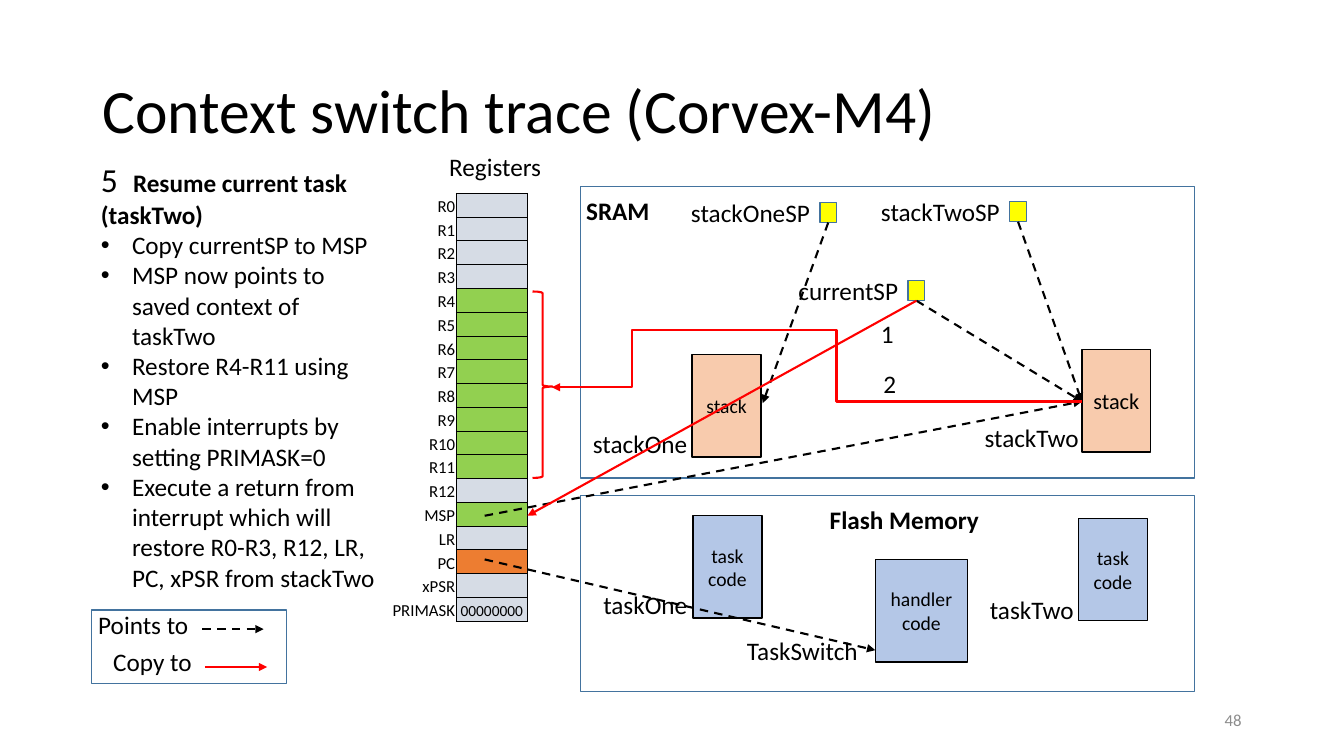
from dataclasses import dataclass

from lxml.etree import SubElement
from pptx import Presentation
from pptx.dml.color import RGBColor
from pptx.enum.dml import MSO_LINE_DASH_STYLE as Dash
from pptx.enum.shapes import MSO_CONNECTOR as Connector, MSO_SHAPE as Preset
from pptx.enum.text import MSO_ANCHOR as Anchor, MSO_AUTO_SIZE as AutoSize, PP_ALIGN as Align
from pptx.oxml.ns import qn
from pptx.util import Inches, Pt

COLUMNS, ROWS = 160, 90
BLACK, RED, BLUE, GREY = "000000", "FF0000", "43739E", "8C8C8C"
YELLOW, PEACH, PALE_BLUE = "FFFF00", "F8CBAD", "B4C7E7"
IDLE, SAVED, COUNTER = "D6DCE5", "92D050", "ED7D31"
INDENT = Inches(0.31)
LABEL_WIDTH, LABEL_HEIGHT = 22, 4.8
BLOCK_HEIGHT, DOT_WIDTH, DOT_HEIGHT = 12.2, 2, 2.4
NO_STYLE = "{2D5ABB26-0587-4C30-8999-92F81FD0307C}"

presentation = Presentation()
presentation.slide_width, presentation.slide_height = Inches(13.33), Inches(7.5)
slide = presentation.slides.add_slide(presentation.slide_layouts[1])


@dataclass
class Box:
    """A rectangle in grid units, with its text and colours."""
    left: float
    top: float
    width: float
    height: float
    text: str = ""
    fill: str = ""
    line: str = BLACK
    size: float = 14


@dataclass
class Label:
    """A caption fixed at its right edge, or at its left edge."""
    edge: float
    top: float
    text: str
    align: Align = Align.RIGHT
    bold: bool = False


@dataclass
class Arrow:
    """A straight arrow; dashed means points to, red means copy to."""
    start: tuple[float, float]
    end: tuple[float, float]
    copies: bool = False


@dataclass
class Pointer:
    """A stack pointer variable and the spot it points to."""
    name: str
    left: float
    top: float
    target: tuple[float, float]


def x(columns: float) -> int:
    """Turn grid columns into a length."""
    return round(presentation.slide_width * columns / COLUMNS)


def y(rows: float) -> int:
    """Turn grid rows into a length."""
    return round(presentation.slide_height * rows / ROWS)


def color(value: str) -> RGBColor:
    """Turn a hex string into a colour."""
    return RGBColor.from_string(value)


def apply(target, **formats) -> None:
    """Set each format value on the target."""
    for name, value in formats.items():
        setattr(target, name, value)


def place(shape, left: float, top: float, width: float, height: float) -> None:
    """Move and size a shape on the grid."""
    apply(shape, left=x(left), top=y(top), width=x(width), height=y(height))


def add_run(paragraph, text: str, size: float, bold=False, ink=BLACK) -> None:
    """Add formatted text to a paragraph."""
    run = paragraph.add_run()
    run.text = text
    apply(run.font, name="Calibri", size=Pt(size), bold=bold)
    run.font.color.rgb = color(ink)


def write(frame, text: str, size: float, align: Align, bold=False, ink=BLACK) -> None:
    """Fill a text frame, one paragraph for each line."""
    for number, line in enumerate(text.split("\n")):
        paragraph = frame.add_paragraph() if number else frame.paragraphs[0]
        paragraph.alignment = align
        add_run(paragraph, line, size, bold, ink)


def outline(shape, ink: str, width: float) -> None:
    """Set the line of a shape."""
    shape.line.color.rgb = color(ink)
    shape.line.width = Pt(width)


def add_box(box: Box) -> None:
    """Draw a rectangle."""
    shape = slide.shapes.add_shape(Preset.RECTANGLE, x(box.left), y(box.top),
                                   x(box.width), y(box.height))
    shape.shadow.inherit = False
    outline(shape, box.line, 1)
    if box.fill:
        shape.fill.solid()
        shape.fill.fore_color.rgb = color(box.fill)
    else:
        shape.fill.background()
    if box.text:
        apply(shape.text_frame, word_wrap=True, vertical_anchor=Anchor.MIDDLE,
              margin_left=Inches(0.05), margin_right=Inches(0.05))
        write(shape.text_frame, box.text, box.size, Align.CENTER)


def add_label(label: Label, size: float = 18, ink: str = BLACK) -> None:
    """Draw a caption."""
    left = label.edge - LABEL_WIDTH * (label.align == Align.RIGHT)
    shape = slide.shapes.add_textbox(x(left), y(label.top), x(LABEL_WIDTH), y(LABEL_HEIGHT))
    shape.text_frame.word_wrap = True
    write(shape.text_frame, label.text, size, label.align, label.bold, ink)


def add_arrow(arrow: Arrow, kind=Connector.STRAIGHT, tip: str = "a:tailEnd"):
    """Draw a connector with one arrowhead."""
    connector = slide.shapes.add_connector(
        kind, x(arrow.start[0]), y(arrow.start[1]), x(arrow.end[0]), y(arrow.end[1]))
    outline(connector, RED if arrow.copies else BLACK, 1.5)
    if not arrow.copies:
        connector.line.dash_style = Dash.DASH
    SubElement(connector.line._get_or_add_ln(), qn(tip), type="triangle")
    SubElement(connector._element.spPr, qn("a:effectLst"))
    return connector


def add_registers(names: list[str], fills: dict[str, str]) -> None:
    """Draw the register table with names on the left."""
    table_frame = slide.shapes.add_table(len(names), 2, x(42.5), y(23), x(20.3), y(51))
    table = table_frame.table
    apply(table, first_row=False, horz_banding=False)
    table._tbl.tblPr.find(qn("a:tableStyleId")).text = NO_STYLE
    table.columns[0].width, table.columns[1].width = x(11.8), x(8.5)
    for number, name in enumerate(names):
        label, value = table.cell(number, 0), table.cell(number, 1)
        for cell in (label, value):
            apply(cell, vertical_anchor=Anchor.BOTTOM, margin_left=Inches(0.01),
                  margin_right=Inches(0.01), margin_top=Inches(0.01), margin_bottom=0)
        write(label.text_frame, name, 12, Align.RIGHT)
        if name == "PRIMASK":
            write(value.text_frame, "00000000", 11, Align.CENTER)
        else:
            SubElement(value.text_frame.paragraphs[0]._p, qn("a:endParaRPr"), sz="1100")
        for side in ("a:lnL", "a:lnR", "a:lnT", "a:lnB"):
            border = SubElement(value._tc.get_or_add_tcPr(), qn(side), w=str(Pt(0.5)))
            SubElement(SubElement(border, qn("a:solidFill")), qn("a:srgbClr"), val=BLACK)
        label.fill.background()
        value.fill.solid()
        value.fill.fore_color.rgb = color(fills.get(name, IDLE))


def add_steps(heading: str, steps: list[str]) -> None:
    """Fill the body placeholder with a numbered heading and bullets."""
    body = slide.placeholders[1]
    place(body, 10.8, 18.3, 35.8, 60.6)
    frame = body.text_frame
    apply(frame, auto_size=AutoSize.NONE, word_wrap=True, vertical_anchor=Anchor.TOP)
    for number, text in enumerate([heading, *steps]):
        paragraph = frame.add_paragraph() if number else frame.paragraphs[0]
        apply(paragraph, space_before=Pt(0), alignment=Align.LEFT)
        properties = paragraph._p.get_or_add_pPr()
        hanging = INDENT if number else 0
        for name, value in {"marL": hanging, "indent": -hanging}.items():
            properties.set(name, str(value))
        if number:
            SubElement(properties, qn("a:buFont"), typeface="Arial")
            SubElement(properties, qn("a:buChar"), char="•")
        else:
            SubElement(properties, qn("a:buNone"))
            add_run(paragraph, "5  ", 24)
        add_run(paragraph, text, 18, bold=not number)


title = slide.shapes.title
place(title, 11, 4.8, 138, 17.4)
apply(title.text_frame, auto_size=AutoSize.NONE, word_wrap=True, vertical_anchor=Anchor.MIDDLE)
write(title.text_frame, "Context switch trace (Corvex-M4)", 44, Align.LEFT)
title.text_frame.paragraphs[0].line_spacing = 0.9
add_steps("Resume current task (taskTwo)", [
    "Copy currentSP to MSP", "MSP now points to saved context of taskTwo",
    "Restore R4-R11 using MSP", "Enable interrupts by setting PRIMASK=0",
    "Execute a return from interrupt which will restore R0-R3, R12, LR, PC, xPSR from stackTwo"])

saved = [f"R{number}" for number in range(4, 12)] + ["MSP"]
add_registers([f"R{number}" for number in range(13)] + ["MSP", "LR", "PC", "xPSR", "PRIMASK"],
              dict.fromkeys(saved, SAVED) | {"PC": COUNTER})

STACK_ONE, STACK_TWO, CURRENT = (90.8, 48), (128.8, 47.8), (109.1, 35.8)
for box in (
        Box(69.1, 22.2, 73.1, 34.7, line=BLUE), Box(69.1, 59, 73.1, 23.3, line=BLUE),
        Box(10.9, 72.6, 23.2, 8.8, line=BLUE),
        Box(82.4, 42.2, 8.2, BLOCK_HEIGHT, "stack", PEACH),
        Box(128.8, 41.6, 8.2, BLOCK_HEIGHT, "stack", PEACH, size=16),
        Box(82.5, 61.4, 8.2, BLOCK_HEIGHT, "task\ncode", PALE_BLUE),
        Box(128.4, 61.7, 8.2, BLOCK_HEIGHT, "task\ncode", PALE_BLUE),
        Box(104.2, 66.6, 11, BLOCK_HEIGHT, "handler code", PALE_BLUE)):
    add_box(box)

for label in (
        Label(52.3, 17.4, "Registers", Align.LEFT), Label(68.6, 22.7, "SRAM", Align.LEFT, True),
        Label(97.6, 59.4, "Flash Memory", Align.LEFT, True),
        Label(103.7, 37.3, "1", Align.LEFT), Label(104, 43.3, "2", Align.LEFT),
        Label(83, 50.4, "stackOne"), Label(129.6, 49.7, "stackTwo"),
        Label(83, 69.6, "taskOne"), Label(129, 70.2, "taskTwo"),
        Label(103.3, 75.1, "TaskSwitch"),
        Label(23.6, 71.9, "Points to"), Label(24, 76.4, "Copy to")):
    add_label(label)
add_label(Label(149, 83.9, "48"), 12, GREY)

for pointer in (Pointer("stackOneSP", 97.6, 24.1, STACK_ONE),
                Pointer("stackTwoSP", 120.2, 24, STACK_TWO),
                Pointer("currentSP", 108.1, 33.4, STACK_TWO)):
    add_label(Label(pointer.left, pointer.top - 1.2, pointer.name))
    add_box(Box(pointer.left, pointer.top, DOT_WIDTH, DOT_HEIGHT, fill=YELLOW, line=BLUE))
    add_arrow(Arrow((pointer.left + DOT_WIDTH / 2, pointer.top + DOT_HEIGHT), pointer.target))

for arrow in (Arrow((57.7, 61.4), STACK_TWO), Arrow((57.7, 66.6), (104.2, 77.4)),
              Arrow((24.1, 74.9), (31.4, 74.9)), Arrow((24.4, 79.4), (31.8, 79.4), True),
              Arrow(CURRENT, (62.8, 61.4), True)):
    add_arrow(arrow)

brace = slide.shapes.add_shape(Preset.RIGHT_BRACE, x(63.4), y(34.7), x(2.4), y(22.2))
brace.shadow.inherit = False
brace.fill.background()
outline(brace, RED, 1.5)
brace.adjustments[0], brace.adjustments[1] = 0.08, 0.51

restore = add_arrow(Arrow((65.7, 46.1), STACK_TWO, True), Connector.ELBOW, "a:headEnd")
geometry = restore._element.spPr.find(qn("a:prstGeom"))
geometry.set("prst", "bentConnector5")
bends = geometry.find(qn("a:avLst"))
for number, share in enumerate((15100, -399200, 53700), 1):
    SubElement(bends, qn("a:gd"), name=f"adj{number}", fmla=f"val {share}")

presentation.save("out.pptx")
